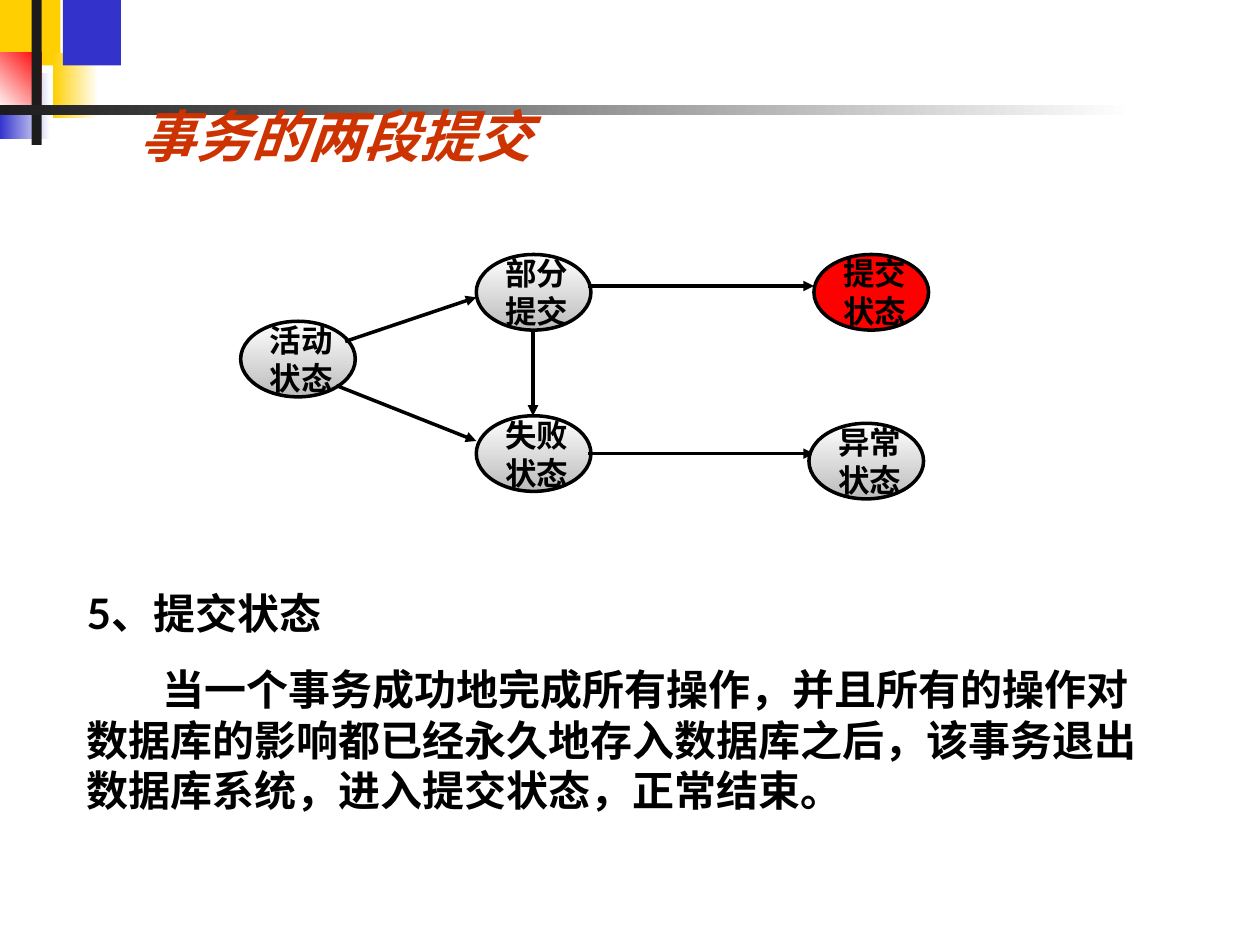
from dataclasses import dataclass

from lxml import etree
from pptx import Presentation
from pptx.dml.color import RGBColor
from pptx.enum.shapes import MSO_CONNECTOR, MSO_SHAPE
from pptx.enum.text import MSO_ANCHOR, PP_ALIGN
from pptx.oxml.ns import qn
from pptx.util import Inches, Pt

RECTANGLE = MSO_SHAPE.RECTANGLE
OVAL = MSO_SHAPE.OVAL
STRAIGHT = MSO_CONNECTOR.STRAIGHT
TOP, MIDDLE, BOTTOM = MSO_ANCHOR.TOP, MSO_ANCHOR.MIDDLE, MSO_ANCHOR.BOTTOM
LEFT = PP_ALIGN.LEFT

BLACK = RGBColor(0x00, 0x00, 0x00)
WHITE = RGBColor(0xFF, 0xFF, 0xFF)
CHARCOAL = RGBColor(0x1C, 0x1C, 0x1C)
GREY = RGBColor(0xBB, 0xBB, 0xBB)
YELLOW = RGBColor(0xFF, 0xCF, 0x01)
BLUE = RGBColor(0x33, 0x33, 0xCC)
RED = RGBColor(0xFF, 0x00, 0x00)
RUST = RGBColor(0xCC, 0x33, 0x00)

FONT = "Lato"
SLIDE_WIDTH, SLIDE_HEIGHT = Inches(10), Inches(7.5)
COLUMN, ROW = SLIDE_WIDTH / 100, SLIDE_HEIGHT / 75
NODE_WIDTH, NODE_HEIGHT = 9.1, 6


@dataclass
class Box:
    left: float
    top: float
    width: float
    height: float

    def inner(self, left, top, width, height):
        return Box(self.left + left, self.top + top, width, height)

    def point(self, column, row):
        return int((self.left + column) * COLUMN), int((self.top + row) * ROW)

    def frame(self):
        return *self.point(0, 0), int(self.width * COLUMN), int(self.height * ROW)


def write_text(frame, lines, size, color=BLACK, italic=False, anchor=TOP,
               wrap=True, space=0, margin=0, indents=()):
    frame.word_wrap = wrap
    frame.vertical_anchor = anchor
    for index, line in enumerate(lines):
        paragraph = frame.paragraphs[0] if index == 0 else frame.add_paragraph()
        paragraph.alignment = LEFT
        paragraph.space_before = Pt(space if index else 0)
        if indents:
            properties = paragraph._p.get_or_add_pPr()
            properties.set("marL", str(int(margin * COLUMN)))
            properties.set("indent", str(int(indents[index] * COLUMN)))
        run = paragraph.add_run()
        run.text = line
        run.font.name = FONT
        run.font.size = Pt(size)
        run.font.bold = True
        run.font.italic = italic
        run.font.color.rgb = color


def add_filled_shape(slide, kind, box, colors, angle=0):
    shape = slide.shapes.add_shape(kind, *box.frame())
    shape.shadow.inherit = False
    shape.line.fill.background()
    if len(colors) == 1:
        shape.fill.solid()
        shape.fill.fore_color.rgb = colors[0]
    else:
        shape.fill.gradient()
        shape.fill.gradient_angle = (360 - angle) % 360
        for stop, color in zip(shape.fill.gradient_stops, colors):
            stop.color.rgb = color
    return shape


def add_corner_blocks(slide, box):
    blocks = [
        ((0, 0, 4.8, 5.2), (YELLOW,), 0),
        ((4.2, 4.2, 3.6, 5.2), (YELLOW, WHITE), 0),
        ((5, 0, 4.6, 5.2), (BLUE,), 0),
        ((0, 5.8, 4, 5.2), (BLUE, WHITE), 0),
        ((0, 4.2, 3.3, 4.6), (WHITE, RED), 315),
        ((2.5, 0, 0.8, box.height), (CHARCOAL,), 0),
        ((0, 8.3, box.width, 0.8), (CHARCOAL, WHITE), 0),
    ]
    for place, colors, angle in blocks:
        add_filled_shape(slide, RECTANGLE, box.inner(*place), colors, angle)


def add_title(slide, box):
    frame = slide.shapes.add_textbox(*box.frame()).text_frame
    write_text(frame, ["事务的两段提交"], 32, color=RUST, italic=True, anchor=BOTTOM)


def add_state(slide, box, lines, colors):
    state = add_filled_shape(slide, OVAL, box, colors, 90)
    state.line.color.rgb = BLACK
    state.line.width = Pt(2)
    write_text(state.text_frame, lines, 18, anchor=MIDDLE, wrap=False,
               margin=3.8, indents=(-3.8, -3.8))


def add_arrow(slide, start, end):
    arrow = slide.shapes.add_connector(STRAIGHT, *start, *end)
    arrow.line.color.rgb = BLACK
    arrow.line.width = Pt(2)
    properties = arrow._element.spPr
    etree.SubElement(properties.find(qn("a:ln")), qn("a:tailEnd"), type="triangle")
    etree.SubElement(properties, qn("a:effectLst"))


def add_state_diagram(slide, box):
    middle = 18.7
    right = box.width - NODE_WIDTH
    shaded = (WHITE, GREY)
    arrows = [
        ((8.3, 6.9), (middle, 3.4)),
        ((7.6, 10.4), (middle, 14.8)),
        ((23.2, 5.9), (23.2, 12.8)),
        ((27.6, 2.5), (right, 2.5)),
        ((27.6, 15.8), (right, 15.8)),
    ]
    states = [
        (0, 5.3, ("活动", "状态"), shaded),
        (middle, 0, ("部分", "提交"), shaded),
        (middle, 12.8, ("失败", "状态"), shaded),
        (right, 0, ("提交", "状态"), (RED,)),
        (right - 0.4, 13.4, ("异常", "状态"), shaded),
    ]
    *linked_states, abnormal_state = states

    def place_state(left, top, lines, colors):
        add_state(slide, box.inner(left, top, NODE_WIDTH, NODE_HEIGHT), lines, colors)

    for state in linked_states:
        place_state(*state)
    for start, end in arrows:
        add_arrow(slide, box.point(*start), box.point(*end))
    place_state(*abnormal_state)


def add_explanation(slide, box):
    frame = slide.shapes.add_textbox(*box.frame()).text_frame
    lines = [
        "5、提交状态",
        "当一个事务成功地完成所有操作，并且所有的操作对数据库的影响都已经永久地存入"
        "数据库之后，该事务退出数据库系统，进入提交状态，正常结束。",
    ]
    write_text(frame, lines, 24, space=15, indents=(0, 6))


def main():
    presentation = Presentation()
    presentation.slide_width, presentation.slide_height = SLIDE_WIDTH, SLIDE_HEIGHT
    slide = presentation.slides.add_slide(presentation.slide_layouts[6])
    add_corner_blocks(slide, Box(0, 0, 90, 11.5))
    add_title(slide, Box(10.1, 7.7, 80.8, 6.2))
    add_state_diagram(slide, Box(19.1, 20.2, 54.6, 19.4))
    add_explanation(slide, Box(5.9, 46.1, 87.4, 19.1))
    presentation.save("out.pptx")


if __name__ == "__main__":
    main()
